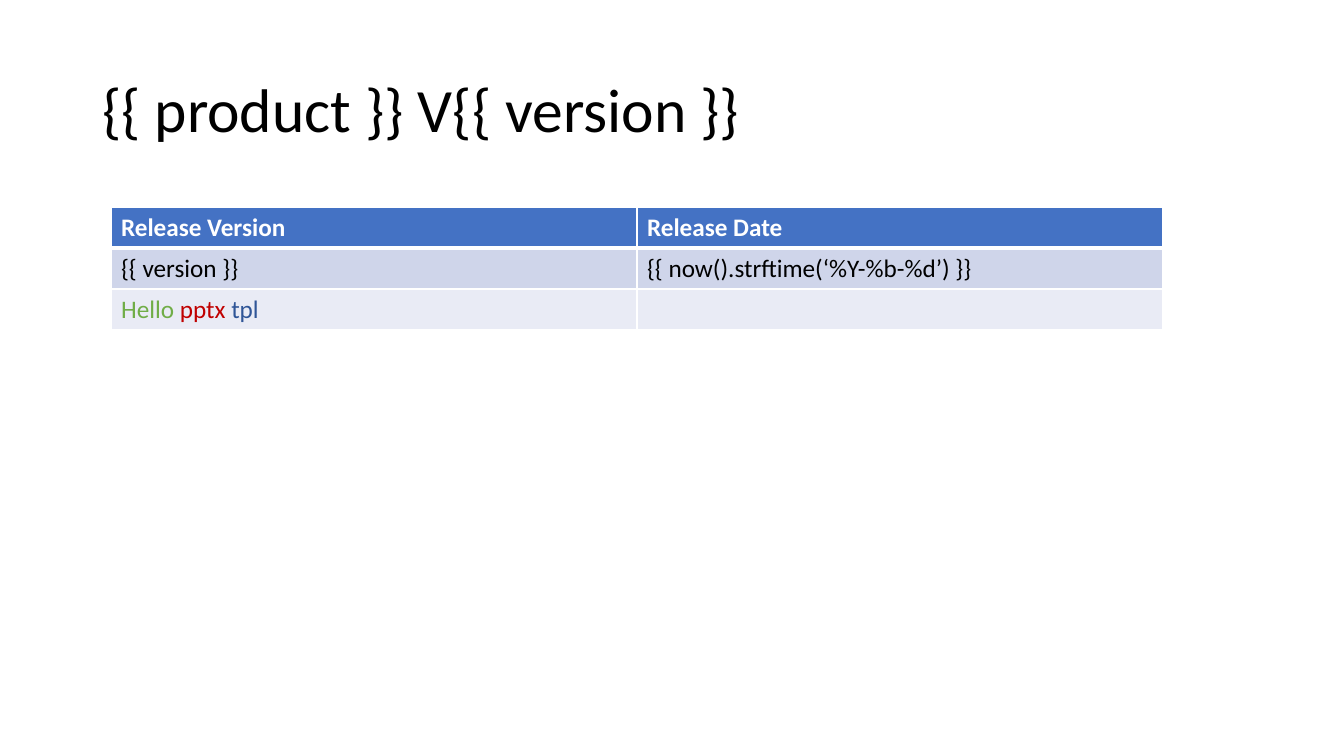
from lxml import etree
from pptx import Presentation
from pptx import util as u
from pptx.dml.color import RGBColor
from pptx.enum import text
from pptx.oxml.ns import qn

PX = 914400 / 100.8
FONT = "Calibri"
BLACK = RGBColor(0x00, 0x00, 0x00)
WHITE = RGBColor(0xFF, 0xFF, 0xFF)
HEADER = RGBColor(0x44, 0x72, 0xC4)
BAND_DARK = RGBColor(0xCF, 0xD5, 0xEA)
BAND_LIGHT = RGBColor(0xE9, 0xEB, 0xF5)
GREEN = RGBColor(0x70, 0xAD, 0x47)
RED = RGBColor(0xC0, 0x00, 0x00)
NAVY = RGBColor(0x2F, 0x55, 0x97)

# Each row: fill, then one list of (text, colour) runs per cell
ROWS = [
    (HEADER, [[("Release Version", WHITE)], [("Release Date", WHITE)]]),
    (BAND_DARK, [[("{{ version }}", BLACK)],
                 [("{{ now().strftime(‘%Y-%b-%d’) }}", BLACK)]]),
    (BAND_LIGHT, [[("Hello ", GREEN), ("pptx ", RED), ("tpl", NAVY)], []]),
]


def px(n):
    """Turn pixels into EMU."""
    return u.Emu(round(n * PX))


def add_run(p, content, size, color, bold=False):
    """Add one formatted run to a paragraph."""
    r = p.add_run()
    r.text = content
    f = r.font
    f.name, f.size, f.bold = FONT, u.Pt(size), bold
    f.color.rgb = color


def set_borders(cell, bottom):
    """Give a cell white borders, 1 pt but for the bottom one."""
    tc_pr = cell._tc.get_or_add_tcPr()
    for side, width in (("L", 1), ("R", 1), ("T", 1), ("B", bottom)):
        ln = etree.SubElement(tc_pr, qn("a:ln" + side), w=str(u.Pt(width)))
        fill = etree.SubElement(ln, qn("a:solidFill"))
        etree.SubElement(fill, qn("a:srgbClr"), val=str(WHITE))


def add_title(s, x, y, w, h):
    """Place and fill the title placeholder."""
    sp = s.shapes.title
    sp.left, sp.top, sp.width, sp.height = map(px, (x, y, w, h))
    tf = sp.text_frame
    tf.vertical_anchor = text.MSO_ANCHOR.MIDDLE
    p = tf.paragraphs[0]
    p.alignment = text.PP_ALIGN.LEFT
    p.line_spacing = 0.9
    add_run(p, "{{ product }} V{{ version }}", 44, BLACK)


def add_release_table(s, x, y, w, h):
    """Draw the release table with equal rows and columns in the box."""
    table = s.shapes.add_table(len(ROWS), 2, *map(px, (x, y, w, h))).table
    for i, (fill, cells) in enumerate(ROWS):
        header = i == 0
        for j, runs in enumerate(cells):
            cell = table.cell(i, j)
            set_borders(cell, 3 if header else 1)
            cell.fill.solid()
            cell.fill.fore_color.rgb = fill
            p = cell.text_frame.paragraphs[0]
            for content, color in runs:
                add_run(p, content, 18, color, bold=header)


def build_release_slide(prs):
    """Add the slide with the title and the release table."""
    s = prs.slides.add_slide(prs.slide_layouts[5])
    add_title(s, 92, 40, 1159, 146)
    add_release_table(s, 111, 207, 1052, 123)


prs = Presentation()
prs.slide_width, prs.slide_height = px(1344), px(756)
build_release_slide(prs)
prs.save("out.pptx")
